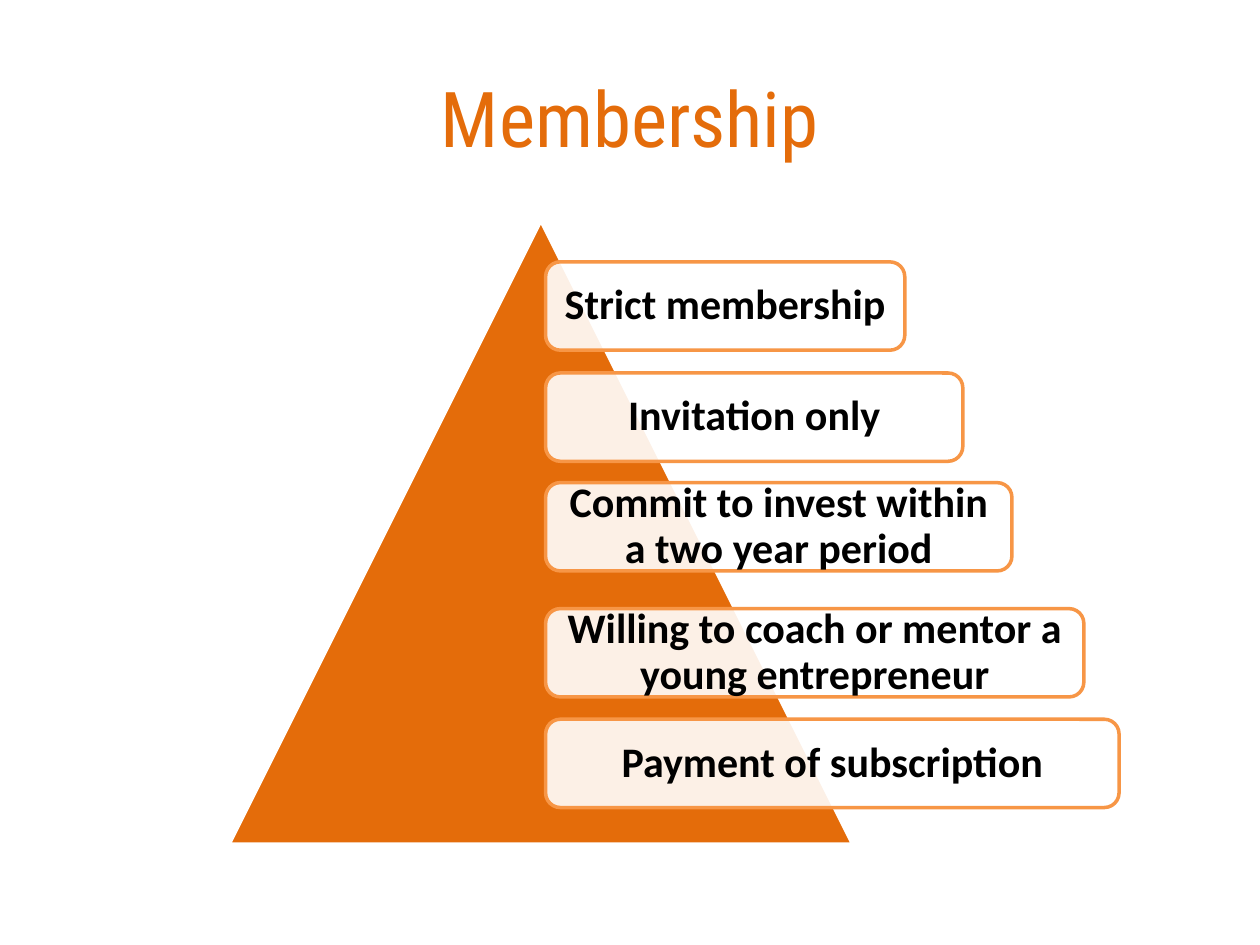
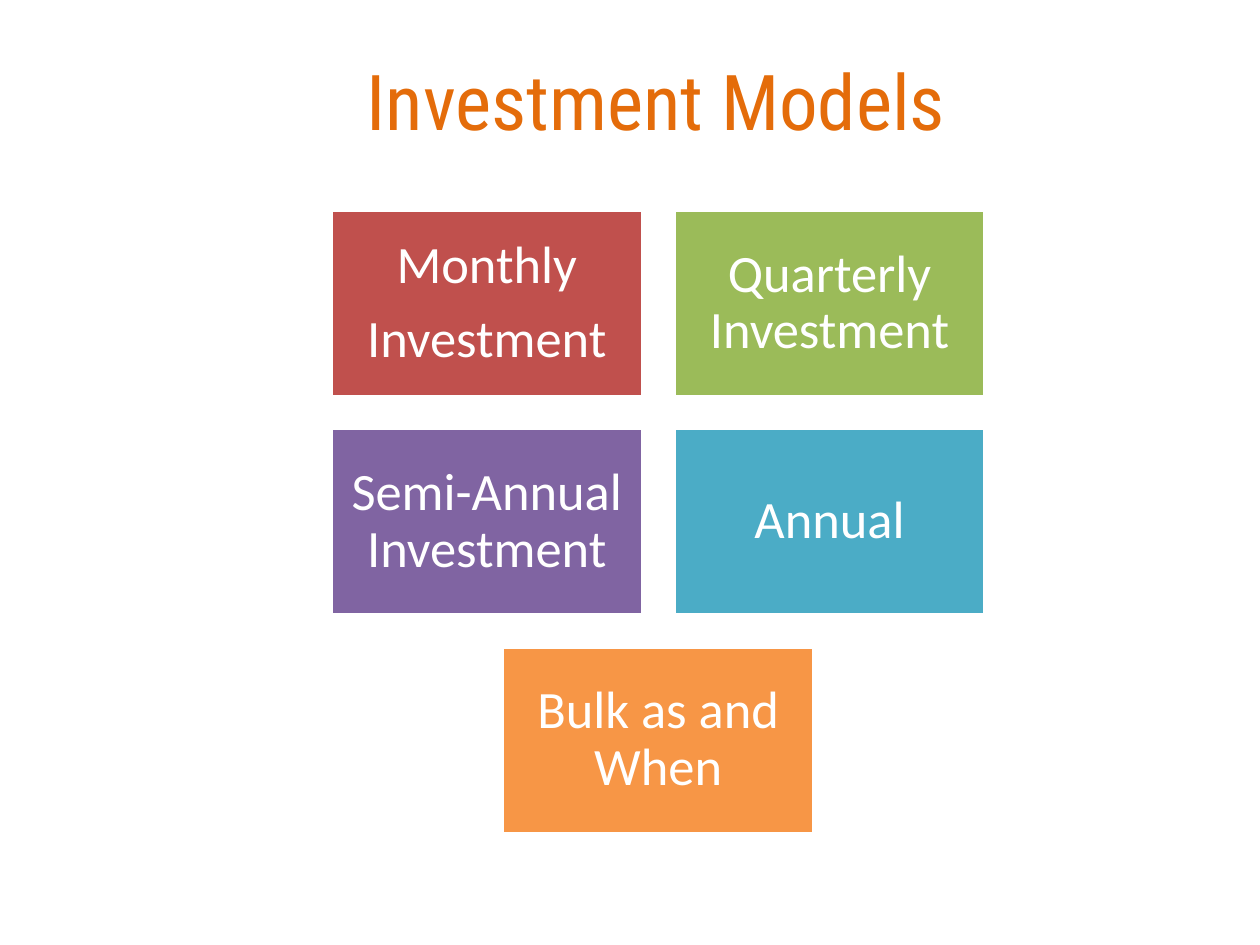
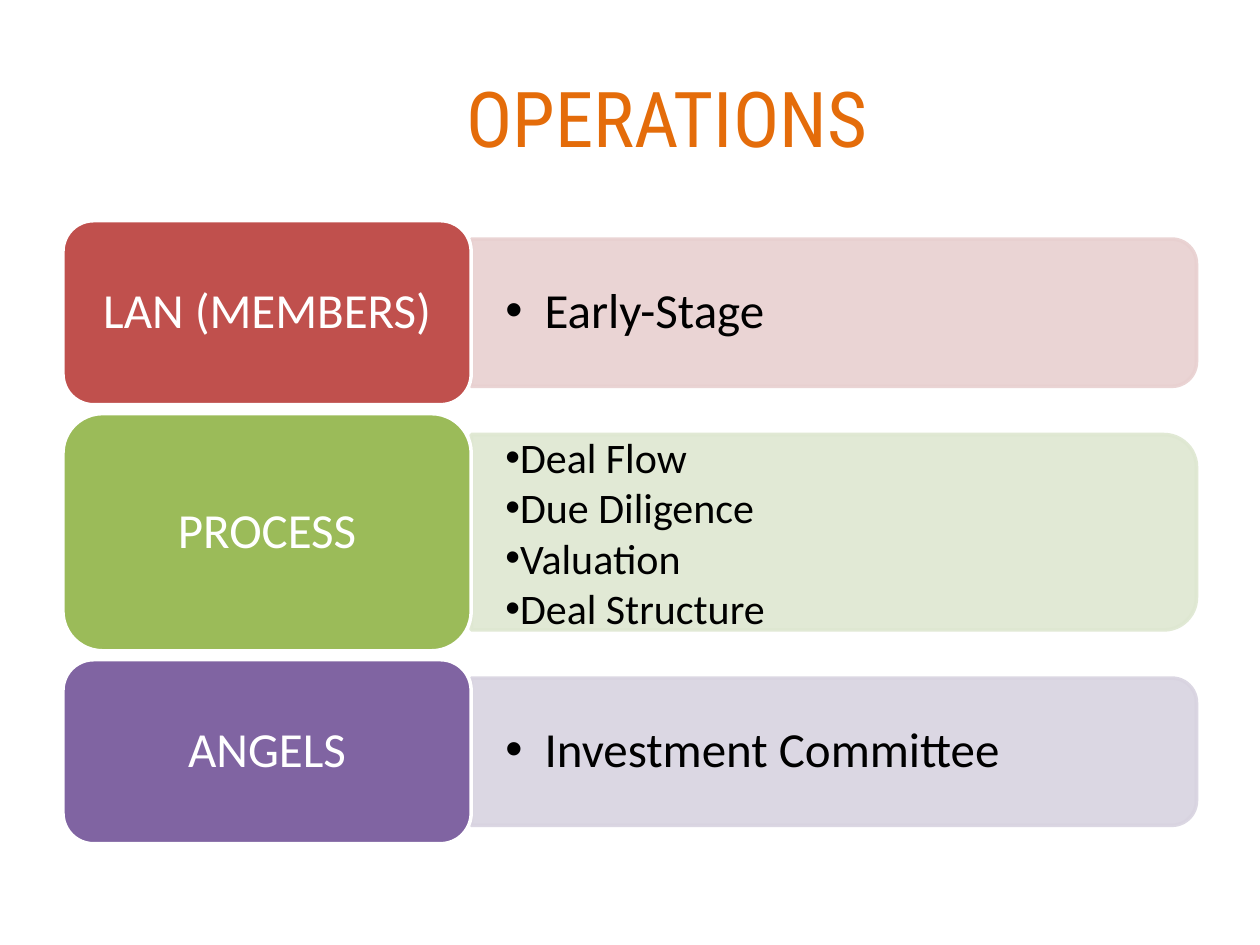
from pptx import Presentation
from pptx import util as u
from pptx.dml.color import RGBColor
from pptx.enum import shapes, text
from pptx.oxml import ns
from lxml import etree

WHITE = RGBColor(0xFF, 0xFF, 0xFF)
BLACK = RGBColor(0x00, 0x00, 0x00)
TITLE_ORANGE = RGBColor(0xE4, 0x6C, 0x0A)
ORANGE = RGBColor(0xF7, 0x96, 0x46)
RED = RGBColor(0xC0, 0x50, 0x4D)
GREEN = RGBColor(0x9B, 0xBB, 0x59)
PURPLE = RGBColor(0x80, 0x64, 0xA2)
BLUE = RGBColor(0x4B, 0xAC, 0xC6)
PALE_RED = RGBColor(0xE8, 0xD0, 0xD0)
PALE_GREEN = RGBColor(0xDE, 0xE7, 0xD1)
PALE_PURPLE = RGBColor(0xD8, 0xD3, 0xE0)

KIND = shapes.MSO_SHAPE
CENTER = {"alignment": text.PP_ALIGN.CENTER}
DIAGRAM = {**CENTER, "line_spacing": 0.9, "space_after": u.Pt(10)}
TITLE_FONT = {"name": "Roboto Condensed", "size": u.Pt(44)}


def draw(page, kind, place, fill, line, opaque_parts=("fill", "line")):
    shape = page.shapes.add_shape(kind, *[u.Cm(length) for length in place])
    shape.shadow.inherit = False
    shape.fill.solid()
    shape.fill.fore_color.rgb = fill
    shape.line.color.rgb = line
    shape.line.width = u.Pt(2)
    for part, route in (("fill", "a:solidFill"), ("line", "a:ln/a:solidFill")):
        if part not in opaque_parts:
            for color in shape.element.spPr.xpath(route + "/a:srgbClr"):
                etree.SubElement(color, ns.qn("a:alpha"), val="90000")
    return shape


def write(box, lines, color, font, layout, inset=(0.25, 0.13), hanging=None):
    frame = box.text_frame
    side, edge = [u.Cm(length) for length in inset]
    frame_format = {
        "word_wrap": True,
        "vertical_anchor": text.MSO_ANCHOR.MIDDLE,
        "margin_left": side,
        "margin_right": side,
        "margin_top": edge,
        "margin_bottom": edge,
    }
    for name, value in frame_format.items():
        setattr(frame, name, value)
    for number, line in enumerate(lines):
        para = frame.add_paragraph() if number else frame.paragraphs[0]
        for name, value in layout.items():
            setattr(para, name, value)
        if hanging is not None:
            properties = para._p.get_or_add_pPr()
            properties.set("marL", str(int(u.Cm(hanging))))
            properties.set("indent", str(-int(u.Cm(hanging))))
            etree.SubElement(properties, ns.qn("a:buFont"), typeface="Arial")
            etree.SubElement(properties, ns.qn("a:buChar"), char="•")
        span = para.add_run()
        span.text = line
        span.font.color.rgb = color
        for name, value in font.items():
            setattr(span.font, name, value)


deck = Presentation()
deck.slide_width, deck.slide_height = u.Cm(25.4), u.Cm(19.05)

pages = []
for title, left, top, width in [
    ("Membership", 1.27, 0.76, 22.86),
    ("Investment Models", 4.24, 0.43, 17.98),
    ("OPERATIONS", 4.01, 0.76, 18.87),
]:
    page = deck.slides.add_slide(deck.slide_layouts[6])
    title_box = page.shapes.add_textbox(u.Cm(left), u.Cm(top), u.Cm(width), u.Cm(3.18))
    write(title_box, [title], TITLE_ORANGE, TITLE_FONT, CENTER)
    pages.append(page)
membership, models, operations = pages

draw(membership, KIND.ISOSCELES_TRIANGLE, (4.62, 4.45, 12.57, 12.57), TITLE_ORANGE, WHITE)
rule_font = {"name": "Calibri", "size": u.Pt(24), "bold": True}
for rule, top, width in [
    ("Strict membership", 5.28, 7.24),
    ("Invitation only", 7.52, 8.41),
    ("Commit to invest within a two year period", 9.73, 9.4),
    ("Willing to coach or mentor a young entrepreneur", 12.27, 10.85),
    ("Payment of subscription", 14.5, 11.56),
]:
    rule_box = draw(membership, KIND.ROUNDED_RECTANGLE, (11, top, width, 1.78), WHITE, ORANGE, ("line",))
    write(rule_box, [rule], BLACK, rule_font, DIAGRAM, (0.25, 0.25))

model_font = {"name": "Calibri", "size": u.Pt(30)}
for lines, color, column, row in [
    (["Monthly", "Investment"], RED, 0, 0),
    (["Quarterly Investment"], GREEN, 1, 0),
    (["Semi-Annual Investment"], PURPLE, 0, 1),
    (["Annual"], BLUE, 1, 1),
    (["Bulk as and When"], ORANGE, 0.5, 2),
]:
    place = (6.68 + 6.91 * column, 4.24 + 4.4 * row, 6.27, 3.76)
    model_box = draw(models, KIND.RECTANGLE, place, color, WHITE)
    write(model_box, lines, WHITE, model_font, DIAGRAM, (0.3, 0.3))

stage_font = {"name": "Calibri", "size": u.Pt(28)}
step_font = {"name": "Calibri", "size": u.Pt(24)}
single = {"line_spacing": 0.9}
several = {"line_spacing": 1.0}
tag_left, tag_width, panel_width, tag_gap = 1.27, 8.23, 14.62, 0.18
panel_left = tag_left + tag_width
top = 4.45
for stage, steps, color, pale, tag_height, panel_height, font, layout, hanging in [
    ("LAN (MEMBERS)", ["Early-Stage"], RED, PALE_RED, 3.71, 2.97, stage_font, single, 0.79),
    ("PROCESS", ["Deal Flow", "Due Diligence", "Valuation", "Deal Structure"],
     GREEN, PALE_GREEN, 4.78, 3.94, step_font, several, 0),
    ("ANGELS", ["Investment Committee"], PURPLE, PALE_PURPLE, 3.71, 2.97, stage_font, single, 0.79),
]:
    middle = top + tag_height / 2
    place = (panel_left + (panel_width - panel_height) / 2, middle - panel_width / 2,
             panel_height, panel_width)
    panel = draw(operations, KIND.ROUND_2_SAME_RECTANGLE, place, pale, pale, ())
    panel.rotation = 90
    steps_box = operations.shapes.add_textbox(
        u.Cm(panel_left), u.Cm(middle - panel_height / 2), u.Cm(14.48), u.Cm(panel_height))
    write(steps_box, steps, BLACK, font, layout, (0.69, 0.36), hanging)
    tag = draw(operations, KIND.ROUNDED_RECTANGLE, (tag_left, top, tag_width, tag_height), color, WHITE)
    write(tag, [stage], WHITE, stage_font, DIAGRAM, (0.3, 0.15))
    top += tag_height + tag_gap

deck.save("out.pptx")
